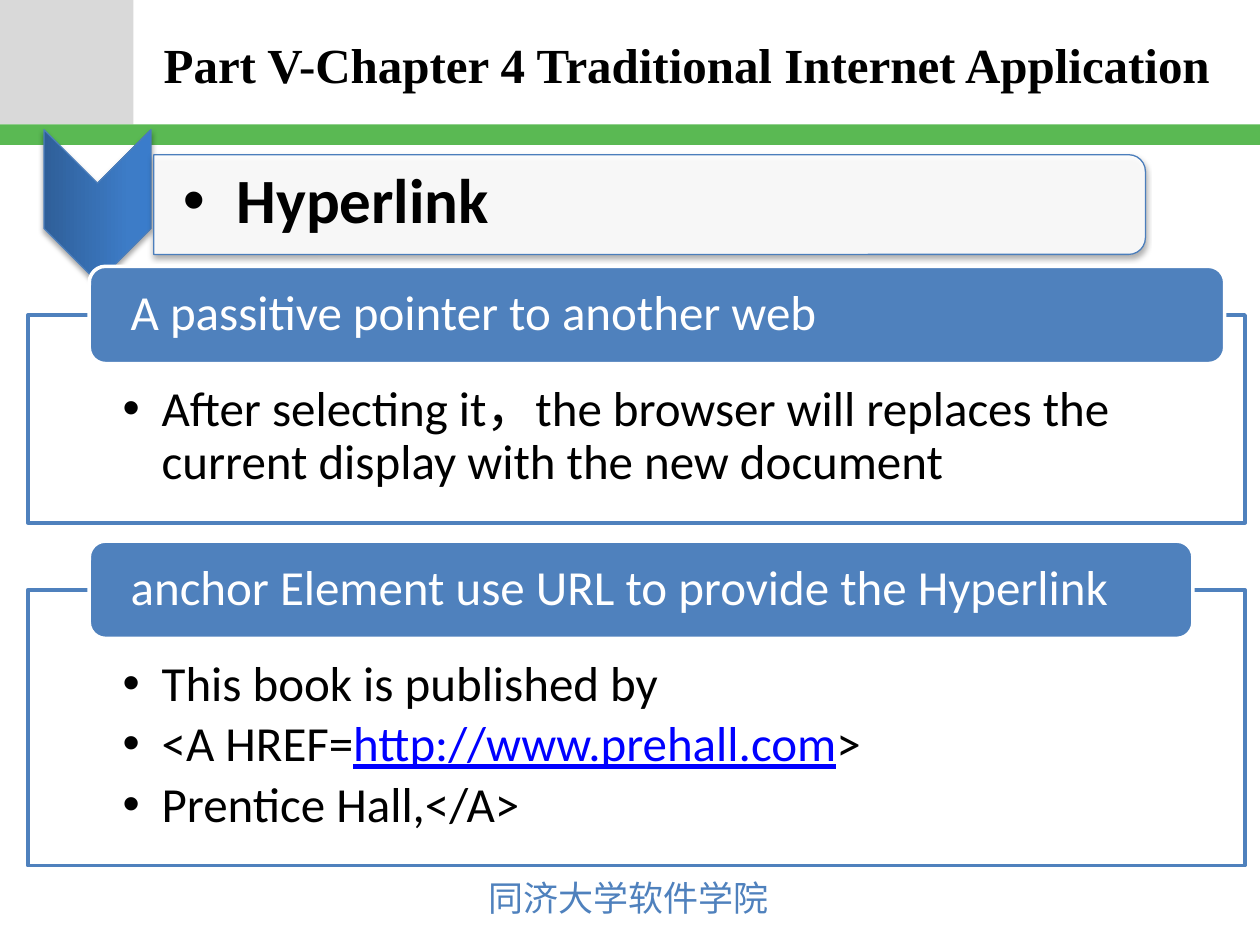
from lxml import etree
from pptx import Presentation
from pptx.dml.color import RGBColor
from pptx.enum.shapes import MSO_SHAPE
from pptx.enum.text import MSO_ANCHOR, MSO_AUTO_SIZE, PP_ALIGN
from pptx.oxml import parse_xml
from pptx.oxml.ns import nsdecls, qn
from pptx.util import Cm, Pt

RECTANGLE = MSO_SHAPE.RECTANGLE
ROUNDED = MSO_SHAPE.ROUNDED_RECTANGLE
ROUND_TOP = MSO_SHAPE.ROUND_2_SAME_RECTANGLE
CHEVRON = MSO_SHAPE.CHEVRON
TOP, MIDDLE = MSO_ANCHOR.TOP, MSO_ANCHOR.MIDDLE
LEFT = PP_ALIGN.LEFT
NO_AUTOFIT = MSO_AUTO_SIZE.NONE

BLUE, EDGE, WHITE, BLACK, LINK = "4F81BD", "4B7EBC", "FFFFFF", "000000", "0000FF"
GRAY, GREEN = "D9D9D9", "5AB953"


def color(value):
    return RGBColor.from_string(value)


class SlideBuilder:
    body_font, title_font, cjk_font = "Calibri", "Times New Roman", "Noto Sans CJK JP"
    text_size = 28

    def __init__(self, slide):
        self.slide = slide

    def paint(self, shape, fill, line=None, width=0.75, opacity=None):
        shape.fill.solid()
        shape.fill.fore_color.rgb = color(fill)
        if opacity is not None:
            fill_color = shape._element.spPr.find(qn("a:solidFill"))[0]
            etree.SubElement(fill_color, qn("a:alpha"), val=str(opacity * 1000))
        if line:
            shape.line.color.rgb = color(line)
            shape.line.width = Pt(width)
        else:
            shape.line.fill.background()

    def shape(self, kind, box, fill, line=None, width=0.75, opacity=None, rotation=0):
        shape = self.slide.shapes.add_shape(kind, *map(Cm, box))
        shape.shadow.inherit = False
        shape.rotation = rotation
        self.paint(shape, fill, line, width, opacity)
        return shape

    def soft_shadow(self, shape):
        effects = shape._element.spPr.find(qn("a:effectLst"))
        effects.append(parse_xml(
            f'<a:outerShdw {nsdecls("a")} blurRad="{Pt(3.1)}" dist="{Pt(1.8)}" '
            'dir="5400000" rotWithShape="0"><a:srgbClr val="000000">'
            '<a:alpha val="35000"/></a:srgbClr></a:outerShdw>'))

    def gradient(self, shape, stops, angle):
        stop_xml = "".join(f'<a:gs pos="{position * 1000}"><a:srgbClr val="{value}"/></a:gs>'
                           for position, value in stops)
        solid = shape._element.spPr.find(qn("a:solidFill"))
        solid.getparent().replace(solid, parse_xml(
            f'<a:gradFill {nsdecls("a")} rotWithShape="1"><a:gsLst>{stop_xml}</a:gsLst>'
            f'<a:lin ang="{angle * 60000}" scaled="0"/></a:gradFill>'))

    def frame(self, shape, margins, anchor=TOP, wrap=True):
        frame = shape.text_frame
        frame.auto_size = NO_AUTOFIT
        frame.word_wrap = wrap
        frame.vertical_anchor = anchor
        (frame.margin_left, frame.margin_top,
         frame.margin_right, frame.margin_bottom) = map(Cm, margins)
        return frame

    def bullet(self, paragraph, indent):
        properties = paragraph._p.get_or_add_pPr()
        properties.set("marL", str(Cm(indent)))
        properties.set("indent", str(-Cm(indent)))
        etree.SubElement(properties, qn("a:buFont"), typeface="Arial")
        etree.SubElement(properties, qn("a:buChar"), char="•")

    def add_text(self, frame, paragraphs, font=body_font, size=text_size, fill=BLACK,
                 bold=False, indent=None, line_spacing=0.9, after=0):
        for index, runs in enumerate(paragraphs):
            paragraph = frame.paragraphs[0] if index == 0 else frame.add_paragraph()
            if indent:
                self.bullet(paragraph, indent)
            paragraph.alignment = LEFT
            paragraph.line_spacing = line_spacing
            paragraph.space_before = Pt(0)
            paragraph.space_after = Pt(after)
            for text, is_link in runs:
                run = paragraph.add_run()
                run.text = text
                run.font.name, run.font.size, run.font.bold = font, Pt(size), bold
                run.font.underline = is_link
                run.font.color.rgb = color(LINK if is_link else fill)
                if font == self.cjk_font:
                    etree.SubElement(run.font._element, qn("a:ea"), typeface=font)

    def place(self, placeholder, box):
        (placeholder.left, placeholder.top,
         placeholder.width, placeholder.height) = map(Cm, box)

    def title(self, text):
        title = self.slide.shapes.title
        self.place(title, (3.05, 0.05, 21.84, 2.49))
        frame = self.frame(title, (0.25, 0.13, 0.25, 0.13), MIDDLE)
        self.add_text(frame, [[(text, False)]], self.title_font, bold=True, line_spacing=1)

    def text_box(self, box, text, margins, anchor=TOP, wrap=True, **style):
        text_box = self.slide.shapes.add_textbox(*map(Cm, box))
        self.add_text(self.frame(text_box, margins, anchor, wrap), [[(text, False)]], **style)

    def section(self, placeholder, top, height, tab_width, heading, items):
        # Outlined list panel
        self.place(placeholder, (0.56, top, 24.54, height))
        self.paint(placeholder, WHITE, BLUE, 2, opacity=90)
        frame = self.frame(placeholder, (1.91, 1.4, 1.91, 0.56))
        self.add_text(frame, items, indent=0.79, after=4.2)
        # Heading tab across the panel's top edge
        tab = self.shape(ROUNDED, (1.8, top - 0.98, tab_width, 1.96), BLUE, WHITE, 2)
        frame = self.frame(tab, (0.74, 0, 0.74, 0), MIDDLE)
        self.add_text(frame, [[(heading, False)]], fill=WHITE)


def main():
    presentation = Presentation()
    presentation.slide_width, presentation.slide_height = Cm(25.4), Cm(19.05)
    slide = presentation.slides.add_slide(presentation.slide_layouts[3])
    builder = SlideBuilder(slide)

    # Page decoration, title and footer
    builder.shape(RECTANGLE, (0, 0, 2.69, 2.51), GRAY)
    builder.shape(RECTANGLE, (0, 2.51, 25.4, 0.41), GREEN)
    builder.title("Part V-Chapter 4 Traditional Internet Application")
    builder.text_box((9.6, 17.53, 6.22, 1.12), "同济大学软件学院",
                     (0.25, 0.13, 0.25, 0.13), wrap=False, font=builder.cjk_font,
                     size=20, fill=BLUE, line_spacing=1)

    # Topic banner
    chevron = builder.shape(CHEVRON, (0.43, 3.07, 3.07, 2.16), BLUE, EDGE, rotation=90)
    builder.gradient(chevron, [(0, "2F5F99"), (80, "3D7CC7"), (100, "3A7CCB")], 270)
    banner = builder.shape(ROUND_TOP, (12.09, -5.87, 2.01, 19.99), WHITE, EDGE,
                           opacity=90, rotation=90)
    for shape in (chevron, banner):
        builder.soft_shadow(shape)
    builder.text_box((3.05, 3.2, 19.91, 1.8), "Hyperlink", (0.64, 0.05, 0.05, 0.05),
                     MIDDLE, size=36, bold=True, indent=1.08, after=5.4)

    # Sections
    builder.section(
        slide.placeholders[1], 6.35, 4.19, 22.89, "A passitive pointer to another web",
        [[("After selecting it，the browser will replaces the current display "
           "with the new document", False)]])
    builder.section(
        slide.placeholders[2], 11.89, 5.56, 22.25,
        "anchor Element use URL to provide the Hyperlink",
        [[("This book is published by", False)],
         [("<A HREF=", False), ("http://www.prehall.com", True), (">", False)],
         [("Prentice Hall,</A>", False)]])

    presentation.save("out.pptx")


if __name__ == "__main__":
    main()
